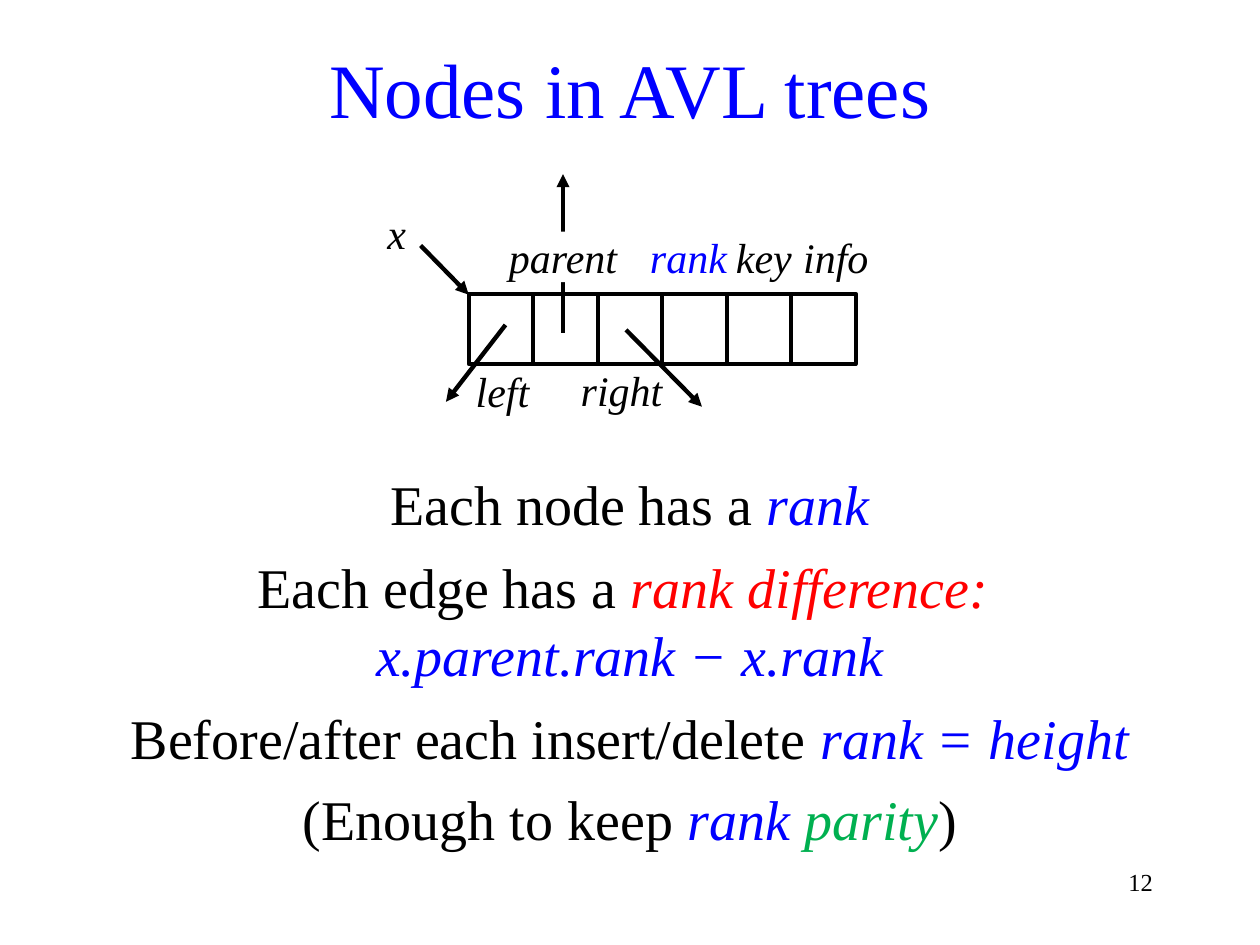
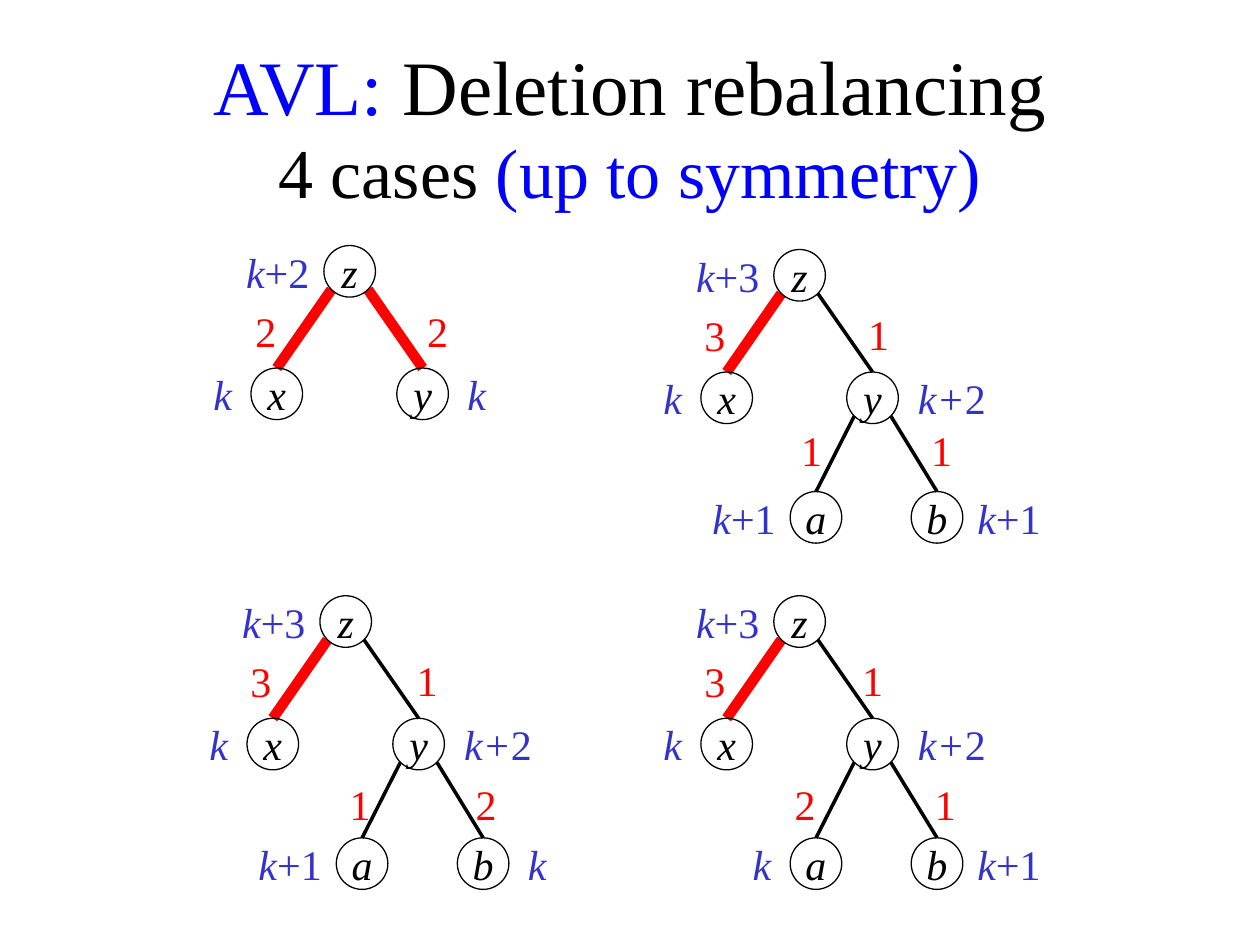
from dataclasses import dataclass

from lxml import etree
from pptx import Presentation
from pptx import util as u
from pptx.dml.color import RGBColor
from pptx.enum import shapes, text
from pptx.oxml import ns


@dataclass(frozen=True)
class Theme:
    font: str = "Times New Roman"
    black: str = "000000"
    blue: str = "0000FF"
    indigo: str = "3333CC"
    red: str = "FF0000"
    green: str = "00B050"
    white: str = "FFFFFF"
    title: int = 44
    subtitle: int = 40
    body: int = 32
    label: int = 24
    number: int = 14
    outline: float = 0.75
    cell_line: float = 2.25
    arrow: float = 2.5
    edge: float = 2
    heavy_edge: float = 6


theme = Theme()
PAGE_WIDTH, PAGE_HEIGHT = 25.4, 19.05

NODE_LINES = [
    (0.71, theme.title, [("Nodes in AVL trees", theme.blue, False)]),
    (9.35, theme.body, [("Each node has a ", theme.black, False), ("rank", theme.blue, True)]),
    (11.02, theme.body, [
        ("Each edge has a ", theme.black, False),
        ("rank difference: ", theme.red, True),
        "break",
        ("x.parent.rank − x.rank", theme.blue, True),
    ]),
    (14.05, theme.body, [
        ("Before/after each insert/delete ", theme.black, False),
        ("rank = height", theme.blue, True),
    ]),
    (15.7, theme.body, [
        ("(Enough to keep ", theme.black, False),
        ("rank ", theme.blue, True),
        ("parity", theme.green, True),
        (")", theme.black, False),
    ]),
]
DELETION_LINES = [
    (0.66, theme.title, [("AVL: ", theme.blue, False), ("Deletion rebalancing", theme.black, False)]),
    (2.46, theme.subtitle, [("4 cases ", theme.black, False), ("(up to symmetry)", theme.blue, False)]),
]
PAGE_NUMBER = "12"

RECORD_LEFT, RECORD_TOP, CELL_WIDTH, CELL_HEIGHT, CELL_COUNT = 9.45, 5.92, 1.3, 1.42, 6
POINTERS = [
    ((12.62, 6.65), (14.15, 8.2)),
    ((10.19, 6.55), (8.99, 8.1)),
    ((8.48, 4.95), (9.45, 5.94)),
    ((11.35, 6.71), (11.35, 3.51)),
]
FIELDS = [
    ("x", 8.0, 4.7, theme.black),
    ("left", 10.13, 7.87, theme.black),
    ("right", 12.53, 7.85, theme.black),
    ("rank", 13.88, 5.18, theme.blue),
    ("key", 15.4, 5.18, theme.black),
    ("info", 16.85, 5.18, theme.black),
]
PARENT_FIELD = ("parent", 11.35, 5.18, theme.black)

NODE_SIZE = 1.04
NODE_OFFSETS = {"z": (0, 0), "x": (-1.47, 2.47), "y": (1.47, 2.47), "a": (0.33, 4.88), "b": (2.77, 4.88)}
PARENTS = {"x": "z", "y": "z", "a": "y", "b": "y"}
SIDES = {"z": -1, "x": -1, "y": 1, "a": -1, "b": 1}

CASES = [
    {
        "root": (7.05, 5.47),
        "ranks": {"z": "k+2", "x": "k", "y": "k"},
        "differences": {"x": ("2", -1.69, 1.2), "y": ("2", 1.77, 1.2)},
    },
    {
        "root": (16.12, 5.55),
        "ranks": {"z": "k+3", "x": "k", "y": "k+2", "a": "k+1", "b": "k+1"},
        "differences": {"x": ("3", -1.71, 1.2), "y": ("1", 1.59, 1.18),
                        "a": ("1", -1.23, 1.05), "b": ("1", 1.39, 1.05)},
    },
    {
        "root": (6.97, 12.53),
        "ranks": {"z": "k+3", "x": "k", "y": "k+2", "a": "k+1", "b": "k"},
        "differences": {"x": ("3", -1.71, 1.2), "y": ("1", 1.64, 1.18),
                        "a": ("1", -1.18, 1.2), "b": ("2", 1.36, 1.2)},
    },
    {
        "root": (16.12, 12.53),
        "ranks": {"z": "k+3", "x": "k", "y": "k+2", "a": "k", "b": "k+1"},
        "differences": {"x": ("3", -1.71, 1.2), "y": ("1", 1.47, 1.18),
                        "a": ("2", -1.36, 1.2), "b": ("1", 1.47, 1.2)},
    },
]


def color(value):
    return RGBColor.from_string(value)


def write(shape, spans, size, align=text.PP_ALIGN.CENTER):
    para = shape.text_frame.paragraphs[0]
    para.alignment = align
    para.font.name = theme.font
    para.font.size = u.Pt(size)
    styles = {span[1:] for span in spans if span != "break"}
    shared = len(styles) == 1
    if shared:
        style(para.font, *styles.pop())
    for span in spans:
        if span == "break":
            para.add_line_break()
            continue
        words, fill, italic = span
        run = para.add_run()
        run.text = words
        if not shared:
            style(run.font, fill, italic)


def style(font, fill, italic):
    font.color.rgb = color(fill)
    font.italic = italic


def clear_margins(frame):
    frame.margin_left = frame.margin_right = frame.margin_top = frame.margin_bottom = 0
    frame.vertical_anchor = text.MSO_ANCHOR.MIDDLE


def add_box(page, left, top, width, height):
    box = page.shapes.add_textbox(u.Cm(left), u.Cm(top), u.Cm(width), u.Cm(height))
    box.text_frame.word_wrap = True
    return box


def add_lines(page, lines):
    for top, size, spans in lines:
        rows = 1 + spans.count("break")
        write(add_box(page, 0, top, PAGE_WIDTH, rows * size * 0.042 + 0.25), spans, size)


def add_label(page, spans, center_x, center_y, width=2.2, height=1.02):
    box = add_box(page, center_x - width / 2, center_y - height / 2, width, height)
    clear_margins(box.text_frame)
    write(box, spans, theme.label)
    return box


def add_outline(page, kind, left, top, width, height, weight):
    shape = page.shapes.add_shape(kind, u.Cm(left), u.Cm(top), u.Cm(width), u.Cm(height))
    shape.shadow.inherit = False
    shape.fill.background()
    shape.line.color.rgb = color(theme.black)
    shape.line.width = u.Pt(weight)
    return shape


def add_line(page, start, end, weight, fill=theme.black, arrow=False):
    line = page.shapes.add_connector(shapes.MSO_CONNECTOR.STRAIGHT, *map(u.Cm, (*start, *end)))
    line.line.color.rgb = color(fill)
    line.line.width = u.Pt(weight)
    if arrow:
        etree.SubElement(line.line._get_or_add_ln(), ns.qn("a:tailEnd"), type="triangle")
    etree.SubElement(line._element.spPr, ns.qn("a:effectLst"))


def add_field(page, name, center_x, center_y, fill):
    return add_label(page, [(name, fill, True)], center_x, center_y)


def add_record(page):
    add_outline(page, shapes.MSO_SHAPE.RECTANGLE, RECORD_LEFT, RECORD_TOP,
                CELL_WIDTH * CELL_COUNT, CELL_HEIGHT, theme.cell_line)
    for index in range(1, CELL_COUNT):
        divider = RECORD_LEFT + index * CELL_WIDTH
        add_line(page, (divider, RECORD_TOP), (divider, RECORD_TOP + CELL_HEIGHT), theme.cell_line)
    for start, end in POINTERS:
        add_line(page, start, end, theme.arrow, arrow=True)
    parent = add_field(page, *PARENT_FIELD)
    parent.fill.solid()
    parent.fill.fore_color.rgb = color(theme.white)
    for field in FIELDS:
        add_field(page, *field)


def add_node(page, name, center_x, center_y):
    radius = NODE_SIZE / 2
    node = add_outline(page, shapes.MSO_SHAPE.OVAL, center_x - radius, center_y - radius,
                       NODE_SIZE, NODE_SIZE, theme.outline)
    clear_margins(node.text_frame)
    write(node, [(name, theme.black, True)], theme.label)


def add_rank(page, name, rank, center_x, center_y):
    if rank == "k":
        distance, italic_length = 1.09, 1
    elif name == "y":
        distance, italic_length = 1.6, 2
    else:
        distance, italic_length = 1.45, 1
    parts = [(rank[:italic_length], True), (rank[italic_length:], False)]
    spans = [(part, theme.indigo, italic) for part, italic in parts if part]
    add_label(page, spans, center_x + SIDES[name] * distance, center_y, 1.8)


def add_tree(page, root, ranks, differences):
    centers = {
        name: (root[0] + NODE_OFFSETS[name][0], root[1] + NODE_OFFSETS[name][1]) for name in ranks
    }
    reach = NODE_SIZE / 2 * 0.71
    for name, (difference, shift_x, shift_y) in differences.items():
        parent_x, parent_y = centers[PARENTS[name]]
        child_x, child_y = centers[name]
        heavy = PARENTS[name] == "z" and difference != "1"
        add_line(page, (parent_x + SIDES[name] * reach, parent_y + reach),
                 (child_x, child_y - NODE_SIZE / 2),
                 theme.heavy_edge if heavy else theme.edge,
                 theme.red if heavy else theme.black)
        add_label(page, [(difference, theme.red, False)], parent_x + shift_x, parent_y + shift_y, 1)
    for name, center in centers.items():
        add_node(page, name, *center)
        add_rank(page, name, ranks[name], *center)


def main():
    deck = Presentation()
    deck.slide_width, deck.slide_height = u.Cm(PAGE_WIDTH), u.Cm(PAGE_HEIGHT)
    blank = deck.slide_layouts[6]

    page = deck.slides.add_slide(blank)
    add_lines(page, NODE_LINES)
    add_record(page)
    write(add_box(page, 18.21, 17.35, 5.28, 1.27), [(PAGE_NUMBER, theme.black, False)],
          theme.number, text.PP_ALIGN.RIGHT)

    page = deck.slides.add_slide(blank)
    add_lines(page, DELETION_LINES)
    for case in CASES:
        add_tree(page, **case)

    deck.save("out.pptx")


if __name__ == "__main__":
    main()
